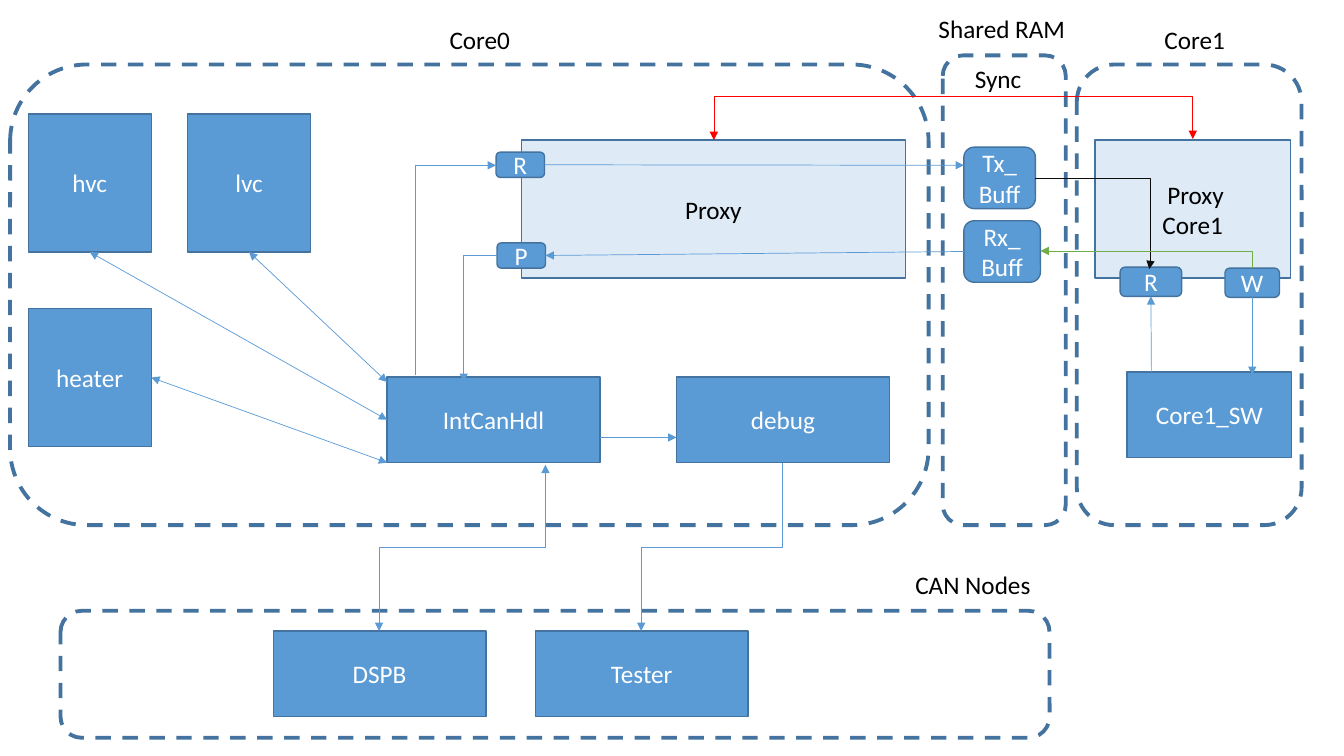
from lxml import etree
from pptx import Presentation
from pptx.dml.color import RGBColor
from pptx.enum import dml, shapes, text
from pptx.oxml import ns
from pptx.util import Emu, Pt

PX = 9144  # EMU per px, 100 px to the inch
BLUE = RGBColor(0x5B, 0x9B, 0xD5)
PALE = RGBColor(0xDE, 0xEB, 0xF7)
EDGE = RGBColor(0x43, 0x73, 0x9E)
RED = RGBColor(0xFF, 0x00, 0x00)
GREEN = RGBColor(0x70, 0xAD, 0x47)
INK = RGBColor(0x0D, 0x0D, 0x0D)
BLACK = RGBColor(0x00, 0x00, 0x00)
WHITE = RGBColor(0xFF, 0xFF, 0xFF)
RECT = shapes.MSO_SHAPE.RECTANGLE
ROUND = shapes.MSO_SHAPE.ROUNDED_RECTANGLE
TOP, LEFT, BOTTOM, RIGHT = range(4)


def px(*lengths):
    return [Emu(round(n * PX)) for n in lengths]


class Diagram:
    font, size = "Calibri", Pt(18)

    def __init__(self, slide):
        self.shapes = slide.shapes

    def set_text(self, tf, words, color, align):
        tf.text = words
        for p in tf.paragraphs:
            p.alignment = align
            p.font.name, p.font.size = self.font, self.size
            p.font.color.rgb = color

    def outline(self, kind, box, width):
        sp = self.shapes.add_shape(kind, *px(*box))
        sp.shadow.inherit = False
        sp.line.color.rgb, sp.line.width = EDGE, Pt(width)
        return sp

    def block(self, words, *box, kind=RECT, fill=BLUE, color=WHITE):
        sp = self.outline(kind, box, 1)
        sp.fill.solid()
        sp.fill.fore_color.rgb = fill
        self.set_text(sp.text_frame, words, color, text.PP_ALIGN.CENTER)
        return sp

    def region(self, *box):
        sp = self.outline(ROUND, box, 2.75)
        sp.fill.background()
        sp.line.dash_style = dml.MSO_LINE.DASH

    def label(self, words, *box):
        tf = self.shapes.add_textbox(*px(*box)).text_frame
        tf.word_wrap = False
        tf.auto_size = text.MSO_AUTO_SIZE.SHAPE_TO_FIT_TEXT
        self.set_text(tf, words, BLACK, text.PP_ALIGN.LEFT)

    def connector(self, kind, start, end, color, both):
        cxn = self.shapes.add_connector(kind, *px(*start, *end))
        cxn.line.color.rgb, cxn.line.width = color, Pt(0.5)
        ln = cxn._element.spPr.find(ns.qn("a:ln"))
        for tag in ["a:headEnd", "a:tailEnd"] if both else ["a:tailEnd"]:
            etree.SubElement(ln, ns.qn(tag), type="triangle")
        etree.SubElement(cxn._element.spPr, ns.qn("a:effectLst"))
        return cxn

    def arrow(self, start, end, both=False):
        """Straight arrow; each end is an (x, y) point or a (shape, side) pair."""
        points = [(0, 0) if hasattr(a, "shape_id") else (a, b) for a, b in (start, end)]
        cxn = self.connector(shapes.MSO_CONNECTOR.STRAIGHT, *points, BLUE, both)
        for (target, side), join in ((start, cxn.begin_connect), (end, cxn.end_connect)):
            if hasattr(target, "shape_id"):
                join(target, side)

    def elbow(self, *points, color=BLUE, both=False):
        """Right-angled arrow through three or four points."""
        (x0, y0), (x1, y1), (xn, yn) = points[0], points[1], points[-1]
        dx, dy = xn - x0, yn - y0
        cx, cy = (x0 + xn) / 2, (y0 + yn) / 2
        upright = x0 == x1
        run, rise = (dy, -dx) if upright else (dx, dy)
        cxn = self.connector(
            shapes.MSO_CONNECTOR.ELBOW,
            (cx - run / 2, cy - rise / 2), (cx + run / 2, cy + rise / 2), color, both)
        spPr = cxn._element.spPr
        if upright:
            spPr.find(ns.qn("a:xfrm")).set("rot", "5400000")
        geom = spPr.find(ns.qn("a:prstGeom"))
        if len(points) == 3:
            geom.set("prst", "bentConnector2")
        else:
            bend = (y1 - y0 if upright else x1 - x0) / run
            guides = geom.find(ns.qn("a:avLst"))
            etree.SubElement(guides, ns.qn("a:gd"), name="adj1",
                             fmla=f"val {round(bend * 100000)}")


def main():
    prs = Presentation()
    prs.slide_width, prs.slide_height = px(1333, 750)
    d = Diagram(prs.slides.add_slide(prs.slide_layouts[6]))

    # Proxies and the regions around them
    d.block("Proxy", 517, 139, 381, 137, fill=PALE, color=BLACK)
    d.block(" Proxy\nCore1", 1086, 139, 194, 137, fill=PALE, color=BLACK)
    d.region(10, 64, 911, 457)
    d.region(1068, 64, 223, 457)
    d.region(935, 55, 122, 466)
    d.region(60, 606, 981, 126)
    d.label("Core0", 436, 19, 81, 40)
    d.label("Core1", 1145, 19, 81, 40)
    d.label("Shared RAM", 921, 8, 147, 40)
    d.label("Sync", 957, 58, 67, 40)
    d.label("CAN Nodes", 898, 560, 136, 40)

    # Software blocks
    hvc = d.block("hvc", 28, 113, 122, 137)
    lvc = d.block("lvc", 186, 113, 122, 137)
    heater = d.block("heater", 28, 306, 122, 137)
    handler = d.block("IntCanHdl", 384, 374, 211, 85)
    d.block("debug", 671, 374, 211, 85)
    d.block("DSPB", 271, 626, 211, 85)
    d.block("Tester", 531, 626, 211, 85)
    d.block("Core1_SW", 1118, 369, 163, 85)

    # Buffers and ports
    d.block("Tx_Buff", 956, 146, 71, 61, kind=ROUND)
    rx_buff = d.block("Rx_Buff", 956, 219, 76, 61, kind=ROUND)
    proxy_in = d.block("R", 492, 151, 48, 25, kind=ROUND)
    proxy_out = d.block("P", 493, 241, 48, 25, kind=ROUND)
    core1_in = d.block("R", 1111, 265, 61, 29, kind=ROUND)
    core1_out = d.block("W", 1215, 266, 54, 29, kind=ROUND)

    # Straight arrows
    d.arrow((heater, RIGHT), (384, 459), both=True)
    d.arrow((lvc, BOTTOM), (384, 379), both=True)
    d.arrow((hvc, BOTTOM), (handler, LEFT), both=True)
    d.arrow((595, 434), (671, 434))
    d.arrow((proxy_in, RIGHT), (956, 164))
    d.arrow((rx_buff, LEFT), (proxy_out, RIGHT))
    d.arrow((1142, 369), (core1_in, BOTTOM))
    d.arrow((core1_out, BOTTOM), (1242, 372))

    # Right-angled arrows
    d.elbow((541, 461), (541, 543), (376, 543), (376, 626), both=True)
    d.elbow((776, 459), (776, 543), (636, 543), (636, 626))
    d.elbow((1027, 177), (1141, 177), (1141, 267), (1140, 267), color=INK)
    d.elbow((1242, 266), (1242, 249), (1032, 249), color=GREEN)
    d.elbow((708, 139), (708, 95), (1183, 95), (1183, 138), color=RED, both=True)
    d.elbow((412, 372), (412, 164), (492, 164))
    d.elbow((493, 253), (460, 253), (460, 379))

    prs.save("out.pptx")


if __name__ == "__main__":
    main()
